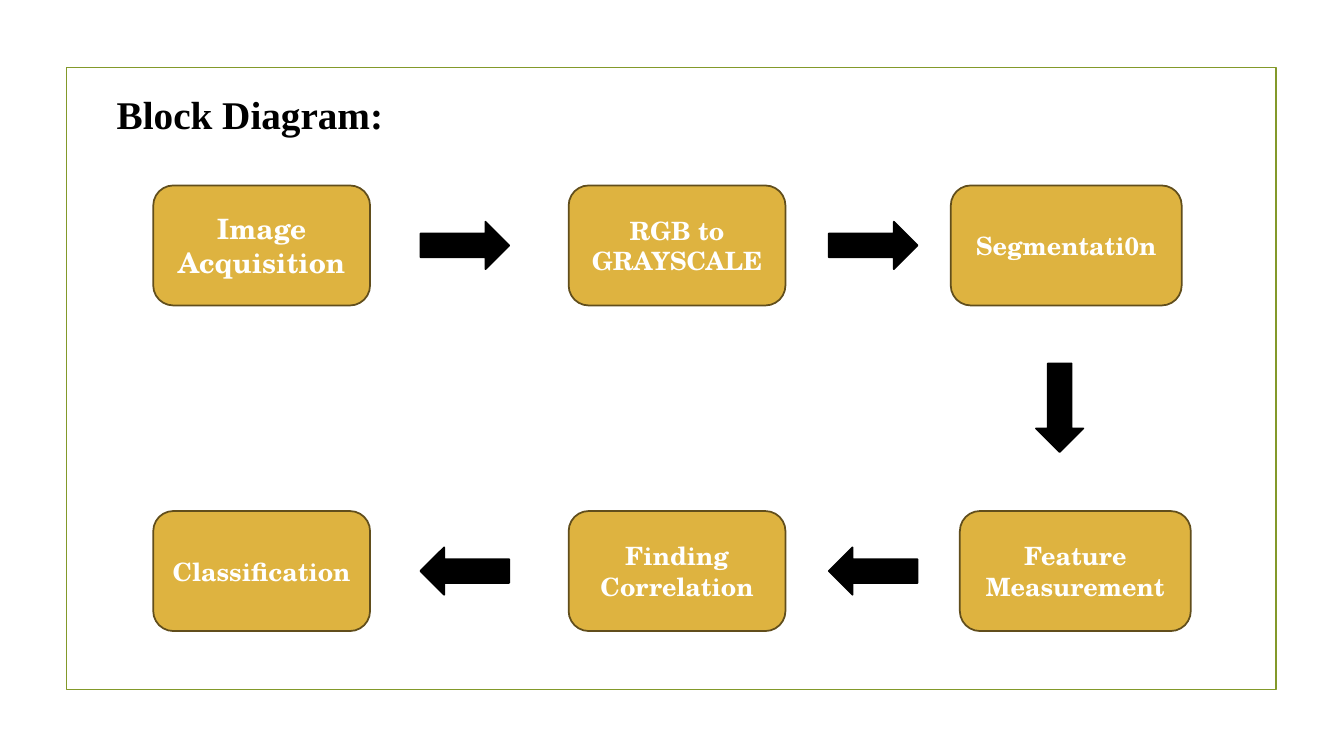
from pptx import Presentation, util as u
from pptx.dml.color import RGBColor
from pptx.enum import shapes, text

COLORS = {"frame": "83992A", "block": "DEB340", "edge": "614E1C",
          "ink": "000000", "label": "FFFFFF"}


class BlockDiagram:
    """Draws framed block diagrams on one slide in a fixed style."""

    def __init__(self, slide):
        self.shapes = slide.shapes

    def color(self, name):
        return RGBColor.from_string(COLORS[name])

    def outline(self, kind, box, line, fill=None):
        shape = self.shapes.add_shape(kind, *map(u.Inches, box))
        shape.shadow.inherit = False
        if fill:
            shape.fill.solid()
            shape.fill.fore_color.rgb = self.color(fill)
        else:
            shape.fill.background()
        shape.line.color.rgb = self.color(line)
        shape.line.width = u.Pt(1.25)
        return shape

    def wording(self, frame, words, size, face, color):
        paragraph = frame.paragraphs[0]
        paragraph.text = words
        font = paragraph.font
        font.name, font.size, font.bold = face, u.Pt(size), True
        font.color.rgb = self.color(color)
        return paragraph

    def frame(self, box):
        self.outline(shapes.MSO_SHAPE.RECTANGLE, box, "frame")

    def title(self, words, box):
        heading = self.shapes.add_textbox(*map(u.Inches, box)).text_frame
        heading.word_wrap = False
        heading.auto_size = text.MSO_AUTO_SIZE.SHAPE_TO_FIT_TEXT
        self.wording(heading, words, 28, "Times New Roman", "ink")

    def block(self, words, left, top, width, size):
        step = self.outline(shapes.MSO_SHAPE.ROUNDED_RECTANGLE,
                            (left, top, width, 1.19), "edge", "block")
        label = step.text_frame
        label.word_wrap = True
        label.vertical_anchor = text.MSO_ANCHOR.MIDDLE
        paragraph = self.wording(label, words, size, "TeX Gyre Schola", "label")
        paragraph.alignment = text.PP_ALIGN.CENTER

    def arrow(self, left, top, rotation):
        flow = self.outline(shapes.MSO_SHAPE.RIGHT_ARROW,
                            (left, top, 0.88, 0.47), "ink", "ink")
        flow.rotation = rotation


def main():
    deck = Presentation()
    deck.slide_width, deck.slide_height = u.Inches(13.33), u.Inches(7.5)
    diagram = BlockDiagram(deck.slides.add_slide(deck.slide_layouts[6]))

    diagram.frame((0.66, 0.67, 12, 6.17))
    diagram.title("Block Diagram:", (1.06, 0.85, 2.87, 0.57))

    rows = [
        (1.84, 0, [("Image Acquisition", 1.52, 2.15, 20),
                   ("RGB to GRAYSCALE", 5.64, 2.15, 18),
                   ("Segmentati0n", 9.43, 2.29, 18)]),
        (5.07, 180, [("Classification", 1.52, 2.15, 18),
                     ("Finding Correlation", 5.64, 2.15, 18),
                     ("Feature Measurement", 9.52, 2.29, 18)]),
    ]
    for top, direction, steps in rows:
        for words, left, width, size in steps:
            diagram.block(words, left, top, width, size)
        for left in (4.17, 8.22):
            diagram.arrow(left, top + 0.36, direction)
    diagram.arrow(10.07, 3.81, 90)

    deck.save("out.pptx")


if __name__ == "__main__":
    main()
